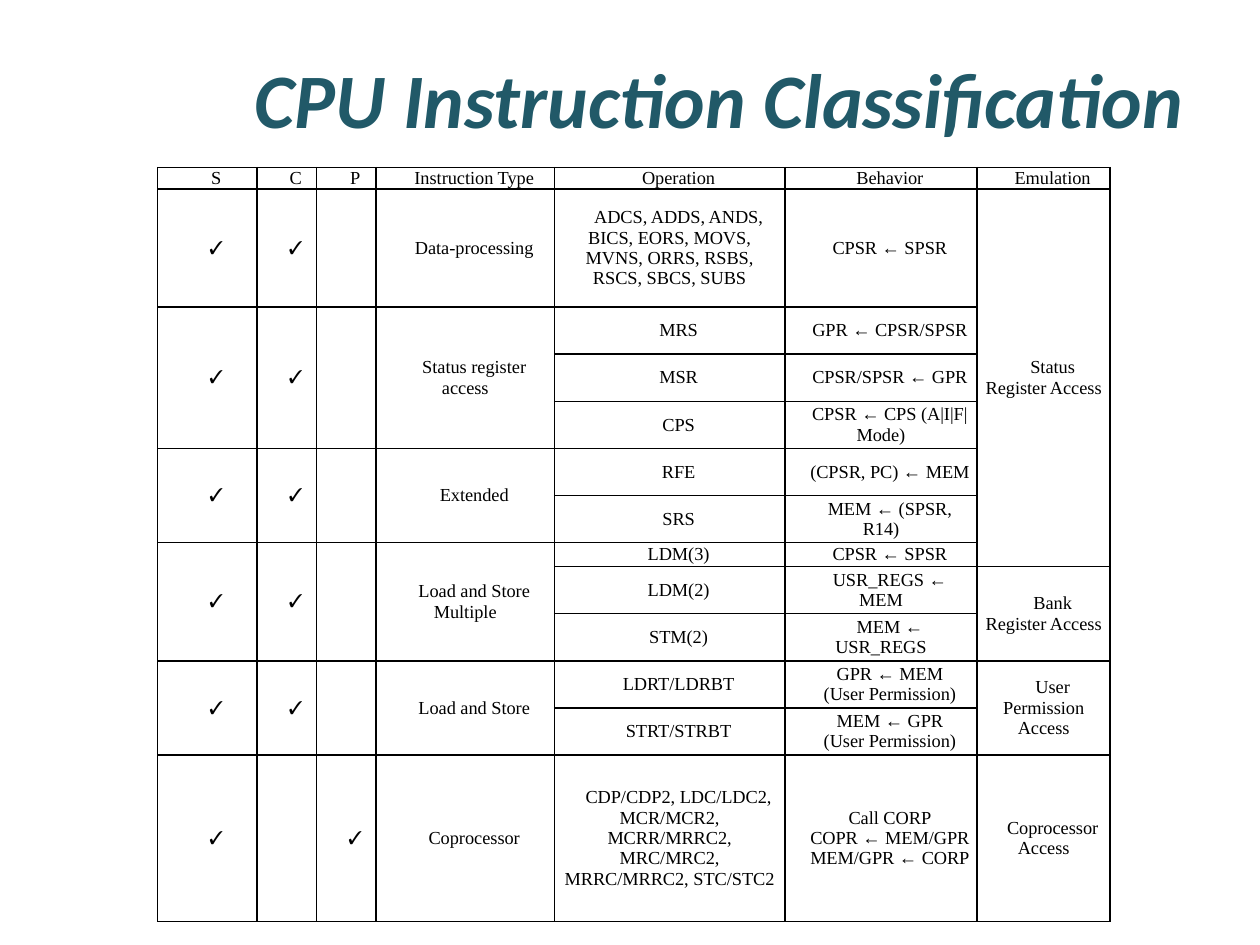
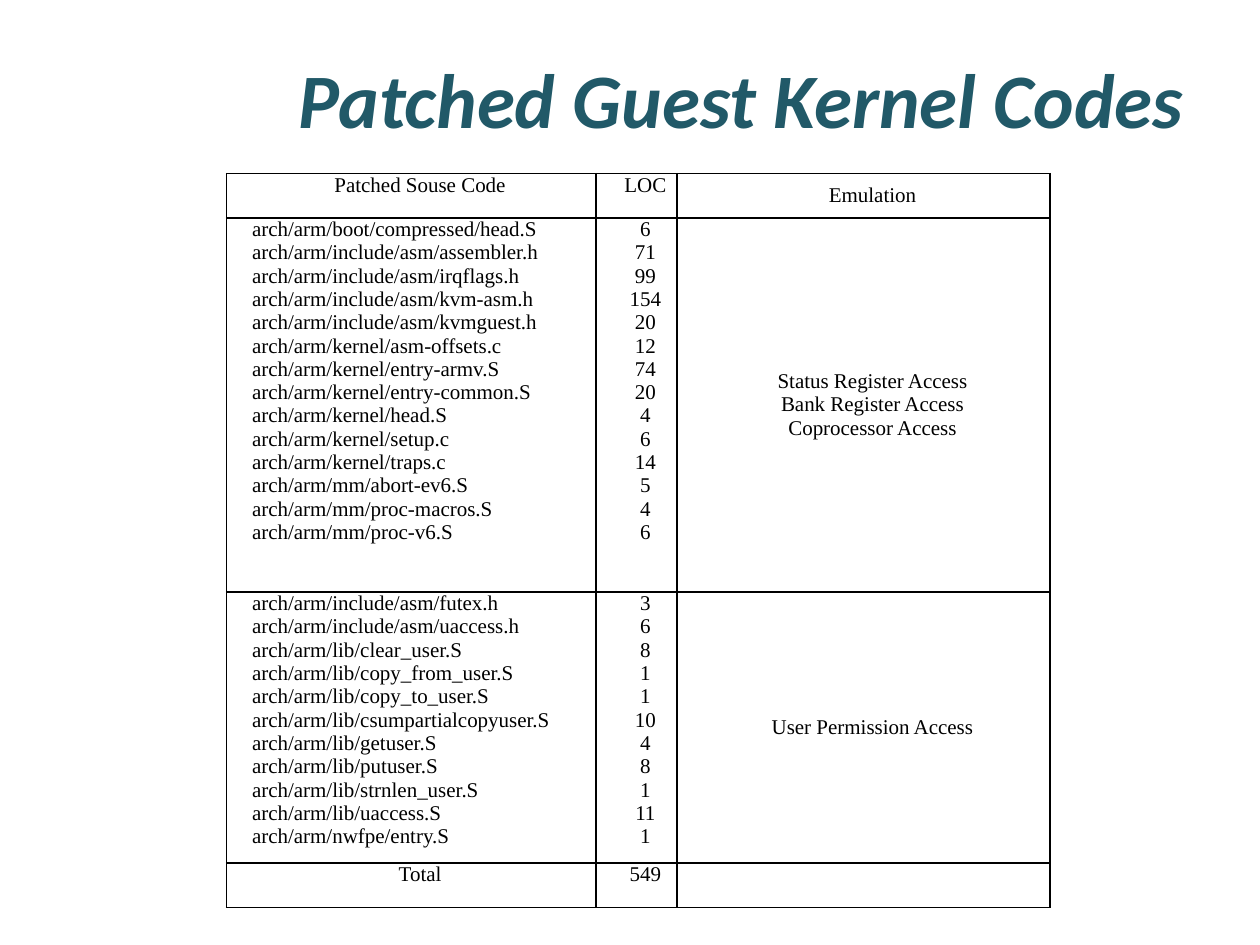
"""Build two slides of CPU virtualization tables: instruction classes and patched kernel files."""
import pptx
import pptx.dml.color
import pptx.enum.text
import pptx.oxml
import pptx.oxml.ns
import pptx.util

Cm = pptx.util.Cm
Pt = pptx.util.Pt
ALIGN = pptx.enum.text.PP_ALIGN
ANCHOR = pptx.enum.text.MSO_ANCHOR

COLORS = {"title": "215968", "text": "000000", "border": "000000"}
TITLE_FONT = "Calibri"
TABLE_FONT = "Times New Roman"
INDENT = Cm(0.36)
TICK = "✓"
MERGED = None

INSTRUCTION_COLUMNS = [2, 1.2, 1.2, 3.6, 4.64, 3.88, 2.68]
INSTRUCTION_HEIGHTS = [0.43, 2.38] + [0.95] * 5 + [0.48] + [0.95] * 4 + [3.36]
INSTRUCTIONS = [
    ["S", "C", "P", "Instruction Type", "Operation", "Behavior", "Emulation"],
    [TICK, TICK, "", "Data-processing",
     "ADCS, ADDS, ANDS, BICS, EORS, MOVS, MVNS, ORRS, RSBS, RSCS, SBCS, SUBS",
     "CPSR ← SPSR", "Status Register Access"],
    [TICK, TICK, "", "Status register access", "MRS", "GPR ← CPSR/SPSR", MERGED],
    [MERGED] * 4 + ["MSR", "CPSR/SPSR ← GPR", MERGED],
    [MERGED] * 4 + ["CPS", "CPSR ← CPS (A|I|F|Mode)", MERGED],
    [TICK, TICK, "", "Extended", "RFE", "(CPSR, PC) ← MEM", MERGED],
    [MERGED] * 4 + ["SRS", "MEM ← (SPSR, R14)", MERGED],
    [TICK, TICK, "", "Load and Store Multiple", "LDM(3)", "CPSR ← SPSR", MERGED],
    [MERGED] * 4 + ["LDM(2)", "USR_REGS ← MEM", "Bank Register Access"],
    [MERGED] * 4 + ["STM(2)", "MEM ← USR_REGS", MERGED],
    [TICK, TICK, "", "Load and Store", "LDRT/LDRBT",
     "GPR ← MEM\n(User Permission)", "User Permission Access"],
    [MERGED] * 4 + ["STRT/STRBT", "MEM ← GPR\n(User Permission)", MERGED],
    [TICK, "", TICK, "Coprocessor",
     "CDP/CDP2, LDC/LDC2, MCR/MCR2, MCRR/MRRC2, MRC/MRC2, MRRC/MRRC2, STC/STC2",
     "Call CORP\nCOPR ← MEM/GPR\nMEM/GPR ← CORP", "Coprocessor Access"],
]

PATCH_COLUMNS = [7.44, 1.64, 7.52]
PATCH_HEIGHTS = [0.89, 7.54, 5.47, 0.89]
REGISTER_PATCHES = {
    "arch/arm/boot/compressed/head.S": 6,
    "arch/arm/include/asm/assembler.h": 71,
    "arch/arm/include/asm/irqflags.h": 99,
    "arch/arm/include/asm/kvm-asm.h": 154,
    "arch/arm/include/asm/kvmguest.h": 20,
    "arch/arm/kernel/asm-offsets.c": 12,
    "arch/arm/kernel/entry-armv.S": 74,
    "arch/arm/kernel/entry-common.S": 20,
    "arch/arm/kernel/head.S": 4,
    "arch/arm/kernel/setup.c": 6,
    "arch/arm/kernel/traps.c": 14,
    "arch/arm/mm/abort-ev6.S": 5,
    "arch/arm/mm/proc-macros.S": 4,
    "arch/arm/mm/proc-v6.S": 6,
}
USER_PATCHES = {
    "arch/arm/include/asm/futex.h": 3,
    "arch/arm/include/asm/uaccess.h": 6,
    "arch/arm/lib/clear_user.S": 8,
    "arch/arm/lib/copy_from_user.S": 1,
    "arch/arm/lib/copy_to_user.S": 1,
    "arch/arm/lib/csumpartialcopyuser.S": 10,
    "arch/arm/lib/getuser.S": 4,
    "arch/arm/lib/putuser.S": 8,
    "arch/arm/lib/strnlen_user.S": 1,
    "arch/arm/lib/uaccess.S": 11,
    "arch/arm/nwfpe/entry.S": 1,
}


def style_font(font, name, size, color):
    font.name = name
    font.size = Pt(size)
    font.color.rgb = pptx.dml.color.RGBColor.from_string(COLORS[color])


def add_titled_slide(prs, title):
    s = prs.slides.add_slide(prs.slide_layouts[5])
    sp = s.shapes.title
    sp.left, sp.top, sp.width, sp.height = Cm(1.27), Cm(0.76), Cm(22.86), Cm(2.41)
    tf = sp.text_frame
    tf.text = title
    tf.vertical_anchor = ANCHOR.MIDDLE
    p = tf.paragraphs[0]
    p.alignment = ALIGN.RIGHT
    font = p.runs[0].font
    style_font(font, TITLE_FONT, 44, "title")
    font.bold = font.italic = True
    return s


def add_borders(cell):
    tc_pr = cell._tc.get_or_add_tcPr()
    for side in "LRTB":
        tc_pr.append(pptx.oxml.parse_xml(
            f'<a:ln{side} {pptx.oxml.ns.nsdecls("a")} w="{Pt(1)}"><a:solidFill>'
            f'<a:srgbClr val="{COLORS["border"]}"/></a:solidFill></a:ln{side}>'))


def fill_cell(cell, text, size, align, anchor):
    cell.text_frame.text = text
    cell.vertical_anchor = anchor
    for p in cell.text_frame.paragraphs:
        p.alignment = align
        p._p.get_or_add_pPr().set("indent", str(INDENT))
        style_font(p.font, TABLE_FONT, size, "text")
        for r in p.runs:
            style_font(r.font, TABLE_FONT, size, "text")


def add_grid(s, left, top, widths, heights, rows, size, margin, top_columns=(), left_cells=()):
    tbl = s.shapes.add_table(len(rows), len(widths), Cm(left), Cm(top),
                             Cm(sum(widths)), Cm(sum(heights))).table
    tbl.first_row = tbl.horz_banding = False
    for column, width in zip(tbl.columns, widths):
        column.width = Cm(width)
    for row, height in zip(tbl.rows, heights):
        row.height = Cm(height)
    for i, texts in enumerate(rows):
        for j, text in enumerate(texts):
            cell = tbl.cell(i, j)
            cell.margin_left = cell.margin_right = Cm(margin)
            cell.margin_top = cell.margin_bottom = 0
            add_borders(cell)
            cell.fill.background()
            align = ALIGN.LEFT if (i, j) in left_cells else ALIGN.CENTER
            anchor = ANCHOR.TOP if j in top_columns else ANCHOR.MIDDLE
            fill_cell(cell, text or "", size, align, anchor)
    merge_continued(tbl, rows)


def merge_continued(tbl, rows):
    for j, column in enumerate(zip(*rows)):
        starts = [i for i, text in enumerate(column) if text is not MERGED]
        for start, end in zip(starts, starts[1:] + [len(rows)]):
            if end - start > 1:
                tbl.cell(start, j).merge(tbl.cell(end - 1, j))


def patch_row(patches, emulation):
    return ["\n".join(patches), "\n".join(map(str, patches.values())), emulation]


def main():
    prs = pptx.Presentation()
    prs.slide_width, prs.slide_height = Cm(25.4), Cm(19.05)

    s = add_titled_slide(prs, "CPU Instruction Classification")
    add_grid(s, 3.18, 3.38, INSTRUCTION_COLUMNS, INSTRUCTION_HEIGHTS, INSTRUCTIONS,
             size=10.5, margin=0.13)

    s = add_titled_slide(prs, "Patched Guest Kernel Codes")
    total = sum(REGISTER_PATCHES.values()) + sum(USER_PATCHES.values())
    rows = [
        ["Patched Souse Code", "LOC", "Emulation"],
        patch_row(REGISTER_PATCHES,
                  "Status Register Access\nBank Register Access\nCoprocessor Access"),
        patch_row(USER_PATCHES, "User Permission Access"),
        ["Total", str(total), ""],
    ]
    add_grid(s, 4.57, 3.5, PATCH_COLUMNS, PATCH_HEIGHTS, rows, size=12, margin=0.15,
             top_columns=(0, 1), left_cells=((1, 0), (2, 0)))

    prs.save("out.pptx")


if __name__ == "__main__":
    main()
